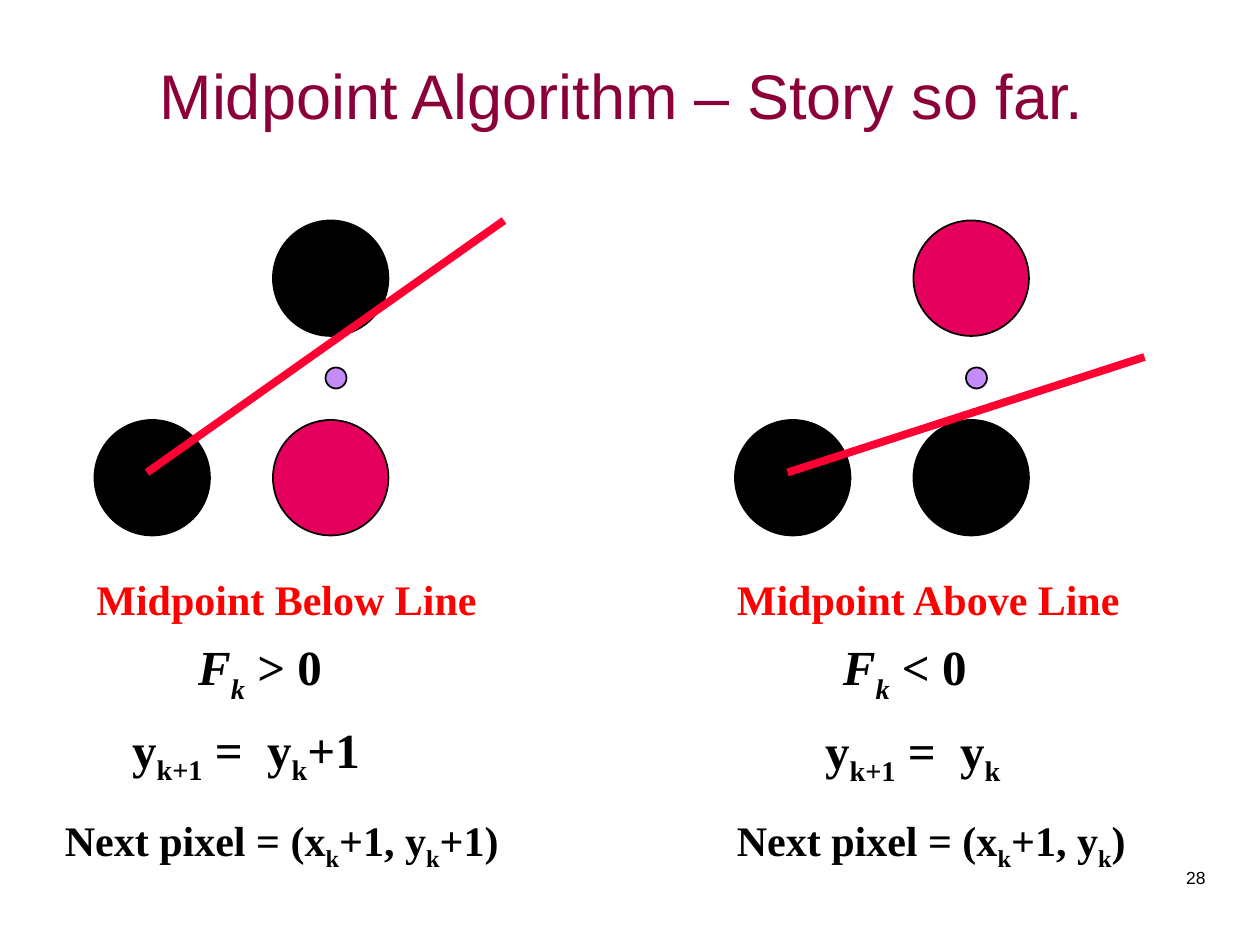
from pptx import Presentation
from pptx.dml.color import RGBColor
from pptx.enum.shapes import MSO_CONNECTOR, MSO_SHAPE
from pptx.enum.text import MSO_ANCHOR as ANCHOR, MSO_AUTO_SIZE as AUTO, PP_ALIGN as ALIGN
from pptx.oxml.ns import qn
from pptx.util import Pt
from lxml.etree import SubElement

PX = 7620  # EMU, 120 px to the inch
BLACK = RGBColor(0x00, 0x00, 0x00)
MAROON = RGBColor(0x8C, 0x00, 0x39)
PINK = RGBColor(0xE4, 0x00, 0x5C)
LILAC = RGBColor(0xC5, 0x8B, 0xF9)
LINE_RED = RGBColor(0xFF, 0x00, 0x33)
TEXT_RED = RGBColor(0xFF, 0x00, 0x00)
SIDE_STEP = 610
PIXEL, DOT = 110, 20

prs = Presentation()
prs.slide_width, prs.slide_height = 1200 * PX, 900 * PX
s = prs.slides.add_slide(prs.slide_layouts[5])


def add_circle(x, y, size, color):
    sp = s.shapes.add_shape(MSO_SHAPE.OVAL, x * PX, y * PX, size * PX, size * PX)
    sp.shadow.inherit = False
    sp.fill.solid()
    sp.fill.fore_color.rgb = color
    sp.line.color.rgb = BLACK
    sp.line.width = Pt(1)


def write(tf, text, size, color=BLACK, font="Times New Roman", bold=True, sub=-25, italics=0):
    """Fill tf; parts between bars are subscripts, the first `italics` parts are italic."""
    p = tf.paragraphs[0]
    for i, part in enumerate(text.split("|")):
        if not part:
            continue
        r = p.add_run()
        r.text = part
        fmt = {"name": font, "size": Pt(size), "bold": bold, "italic": i < italics}
        for name, value in fmt.items():
            setattr(r.font, name, value)
        r.font.color.rgb = color
        if i % 2:
            r._r.get_or_add_rPr().set("baseline", str(sub * 1000))
    return p


title = s.shapes.title
title.left, title.top, title.width, title.height = 140 * PX, 10 * PX, 1000 * PX, 160 * PX
tf = title.text_frame
tf.auto_size, tf.vertical_anchor = AUTO.NONE, ANCHOR.MIDDLE
p = write(tf, "Midpoint Algorithm – Story so far.", 36, MAROON, "Arial", False)
p.alignment = ALIGN.LEFT

# upper pixel, lower pixel, line end, then text boxes: (x, y, w, h, text, format)
HEADING = {"size": 24, "color": TEXT_RED}
SIGN = {"size": 28, "sub": -30, "italics": 2}
STEP = {"size": 28}
NEXT = {"size": 24}
cases = [
    (BLACK, PINK, (480, 210), [
        (80, 540, 388, 60, "Midpoint Below Line", HEADING),
        (50, 770, 440, 67, "Next pixel = (x|k|+1, y|k|+1)", NEXT),
        (177, 600, 144, 78, "F|k| > 0", SIGN),
        (114, 679, 246, 76, "y|k+1| =  y|k|+1", STEP)]),
    (PINK, BLACK, (1090, 340), [
        (690, 540, 392, 60, "Midpoint Above Line", HEADING),
        (690, 770, 396, 67, "Next pixel = (x|k|+1, y|k|)", NEXT),
        (791, 600, 144, 78, "F|k| < 0", SIGN),
        (774, 680, 194, 76, "y|k+1| =  y|k|", STEP)]),
]

for side, (upper, lower, (end_x, end_y), labels) in enumerate(cases):
    dx = side * SIDE_STEP
    add_circle(90 + dx, 400, PIXEL, BLACK)
    add_circle(260 + dx, 400, PIXEL, lower)
    add_circle(260 + dx, 210, PIXEL, upper)
    line = s.shapes.add_connector(
        MSO_CONNECTOR.STRAIGHT, (140 + dx) * PX, 450 * PX, end_x * PX, end_y * PX)
    line.line.color.rgb = LINE_RED
    line.line.width = Pt(4.5)
    SubElement(line._element.spPr, qn("a:effectLst"))
    add_circle(310 + dx, 350, DOT, LILAC)
    for x, y, w, h, text, fmt in labels:
        tf = s.shapes.add_textbox(x * PX, y * PX, w * PX, h * PX).text_frame
        tf.word_wrap, tf.auto_size = False, AUTO.SHAPE_TO_FIT_TEXT
        write(tf, text, **fmt)

tf = s.shapes.add_textbox(910 * PX, 820 * PX, 250 * PX, 60 * PX).text_frame
tf.word_wrap = True
write(tf, "28", 10, font="Arial", bold=False).alignment = ALIGN.RIGHT

prs.save("out.pptx")
